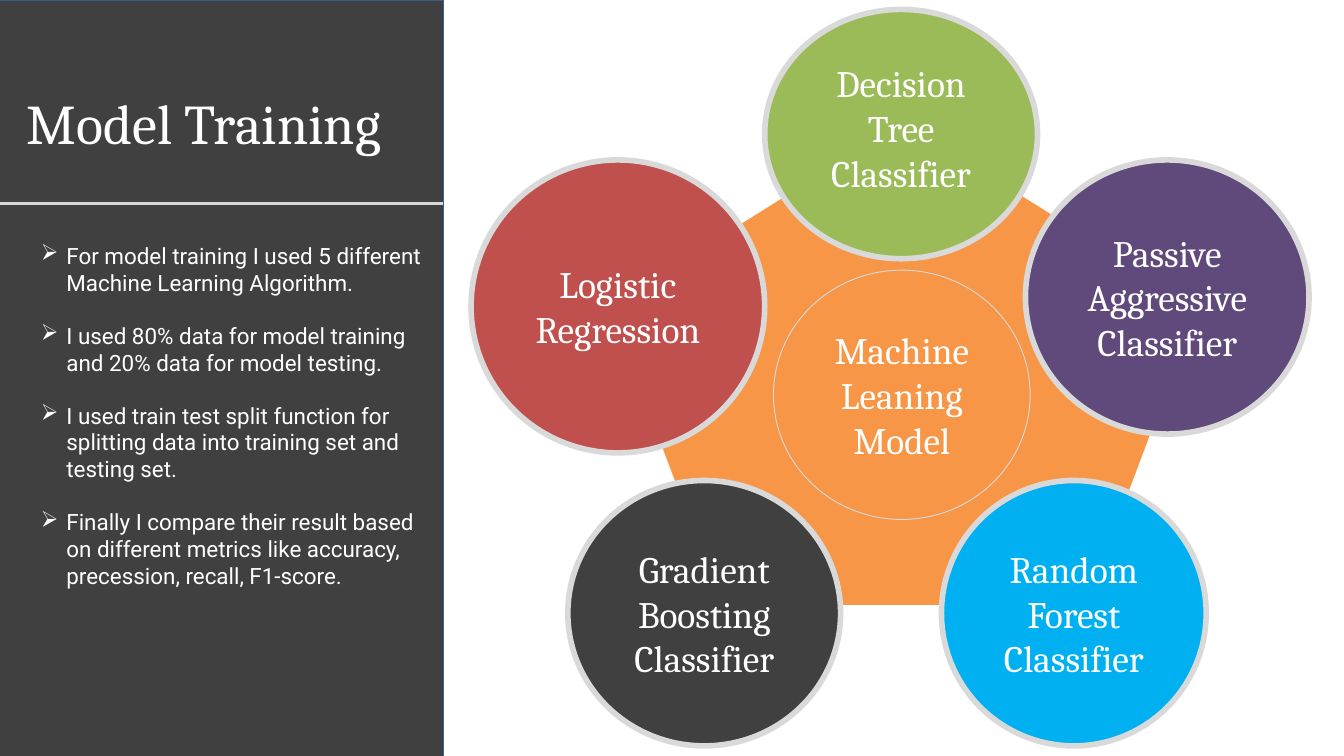
from lxml.etree import SubElement
from pptx import Presentation
from pptx.dml.color import RGBColor
from pptx.enum.shapes import MSO_CONNECTOR, MSO_SHAPE
from pptx.enum.text import MSO_ANCHOR, PP_ALIGN
from pptx.oxml.ns import qn
from pptx.util import Pt

PX = 9144
WHITE = "FFFFFF"
CHARCOAL = "404040"
ORANGE = "F79646"
SILVER = "D9D9D9"

CLASSIFIERS = [
    ("Passive Aggressive Classifier", (1526, 238, 422, 408), "604A7B", 10),
    ("Random Forest Classifier", (1401, 715, 394, 395), "00B0F0", 10),
    ("Gradient Boosting Classifier", (845, 715, 406, 395), CHARCOAL, 10),
    ("Decision Tree Classifier", (1138, 14, 406, 371), "9BBB59", 29),
    ("Logistic Regression", (701, 238, 437, 436), "C0504D", 10),
]

NOTES = [
    "For model training I used 5 different Machine Learning Algorithm.",
    "I used 80% data for model training and 20% data for model testing.",
    "I used train test split function for splitting data into training set and testing set.",
    "Finally I compare their result based on different metrics like accuracy, "
    "precession, recall, F1-score.",
]


def emu(*lengths):
    return [length * PX for length in lengths]


def color(value):
    return RGBColor.from_string(value)


def write(paragraph, words, size, font):
    paragraph.text = words
    for run in paragraph.runs:
        run.font.size = Pt(size)
        run.font.name = font
        run.font.color.rgb = color(WHITE)


def add_block(slide, kind, bounds, fill, outline, weight):
    block = slide.shapes.add_shape(kind, *emu(*bounds))
    block.shadow.inherit = False
    block.fill.solid()
    block.fill.fore_color.rgb = color(fill)
    block.line.color.rgb = color(outline)
    block.line.width = Pt(weight)
    return block


def add_circle(slide, words, bounds, fill, weight, bottom=10):
    circle = add_block(slide, MSO_SHAPE.OVAL, bounds, fill, SILVER, weight)
    frame = circle.text_frame
    frame.word_wrap = True
    frame.vertical_anchor = MSO_ANCHOR.MIDDLE
    frame.margin_left, frame.margin_top, frame.margin_right, frame.margin_bottom = emu(
        10, 10, 10, bottom)
    label = frame.paragraphs[0]
    write(label, words, 40, "Cambria")
    label.alignment = PP_ALIGN.CENTER


def add_text_frame(slide, bounds):
    frame = slide.shapes.add_textbox(*emu(*bounds)).text_frame
    frame.word_wrap = True
    return frame


def add_title(slide, words, bounds):
    write(add_text_frame(slide, bounds).paragraphs[0], words, 60, "Cambria")


def add_bullets(slide, notes, bounds):
    frame = add_text_frame(slide, bounds)
    for index, note in enumerate(notes):
        paragraph = frame.add_paragraph() if index else frame.paragraphs[0]
        if index:
            paragraph.space_before = Pt(28)
        properties = paragraph._p.get_or_add_pPr()
        properties.set("marL", str(38 * PX))
        properties.set("indent", str(-38 * PX))
        SubElement(properties, qn("a:buChar"), char="➢")
        write(paragraph, note, 24, "Roboto")


def add_divider(slide, left, right, top):
    divider = slide.shapes.add_connector(
        MSO_CONNECTOR.STRAIGHT, *emu(left, top, right, top))
    divider.line.color.rgb = color(SILVER)
    divider.line.width = Pt(3)
    SubElement(divider._element.spPr, qn("a:effectLst"))


def main():
    deck = Presentation()
    deck.slide_width, deck.slide_height = emu(2000, 1125)
    slide = deck.slides.add_slide(deck.slide_layouts[6])

    add_block(slide, MSO_SHAPE.REGULAR_PENTAGON, (907, 182, 876, 718), ORANGE, ORANGE, 0.25)
    for name, bounds, fill, bottom in CLASSIFIERS:
        add_circle(slide, name, bounds, fill, 6, bottom)

    add_block(slide, MSO_SHAPE.RECTANGLE, (-3, 0, 663, 1126), CHARCOAL, "3A5F8C", 2)
    add_title(slide, "Model Training", (30, 127, 597, 111))
    add_bullets(slide, NOTES, (51, 355, 592, 737))
    add_divider(slide, -2, 659, 303)
    add_circle(slide, "Machine Leaning Model", (1151, 402, 382, 371), ORANGE, 1)

    deck.save("out.pptx")


if __name__ == "__main__":
    main()
